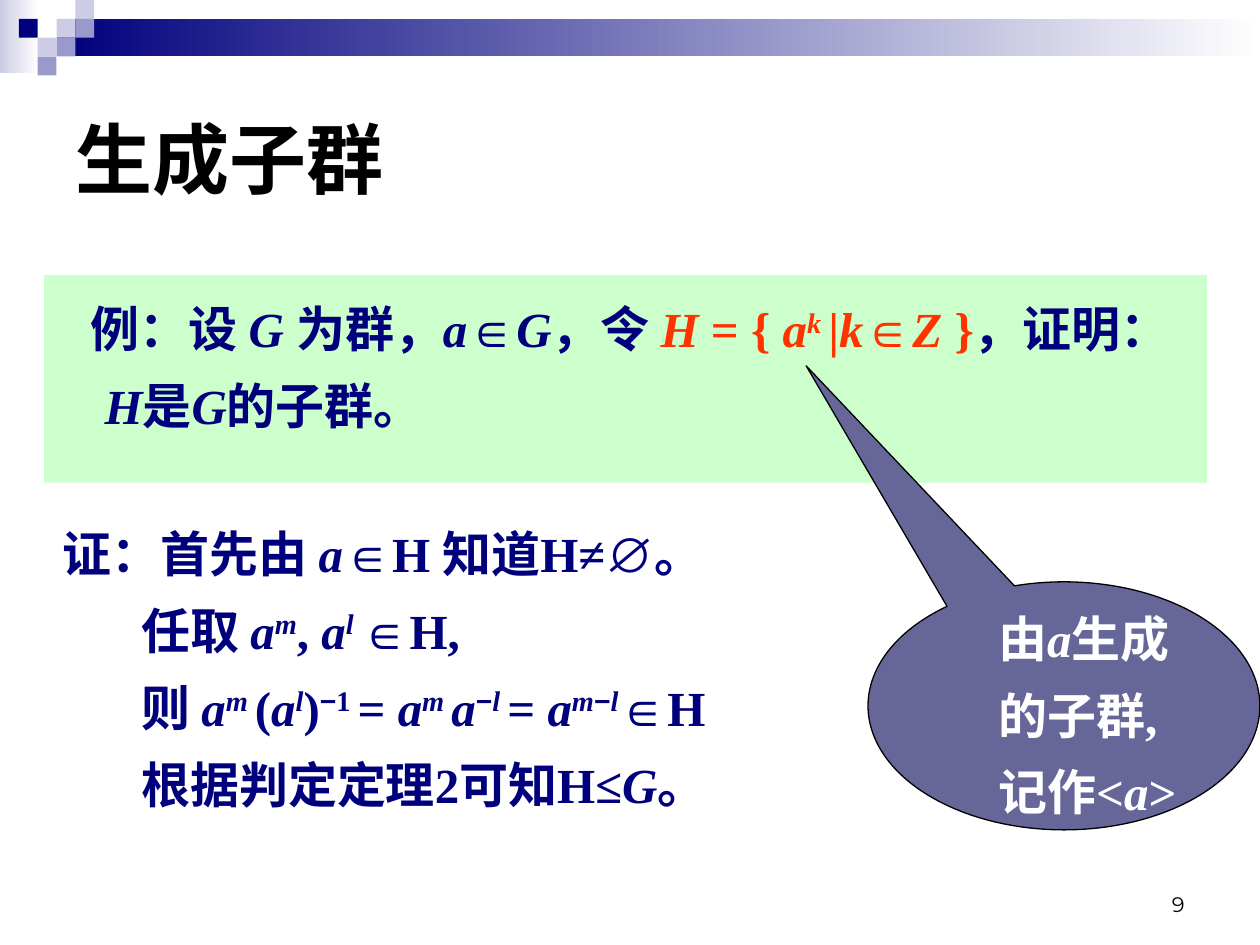
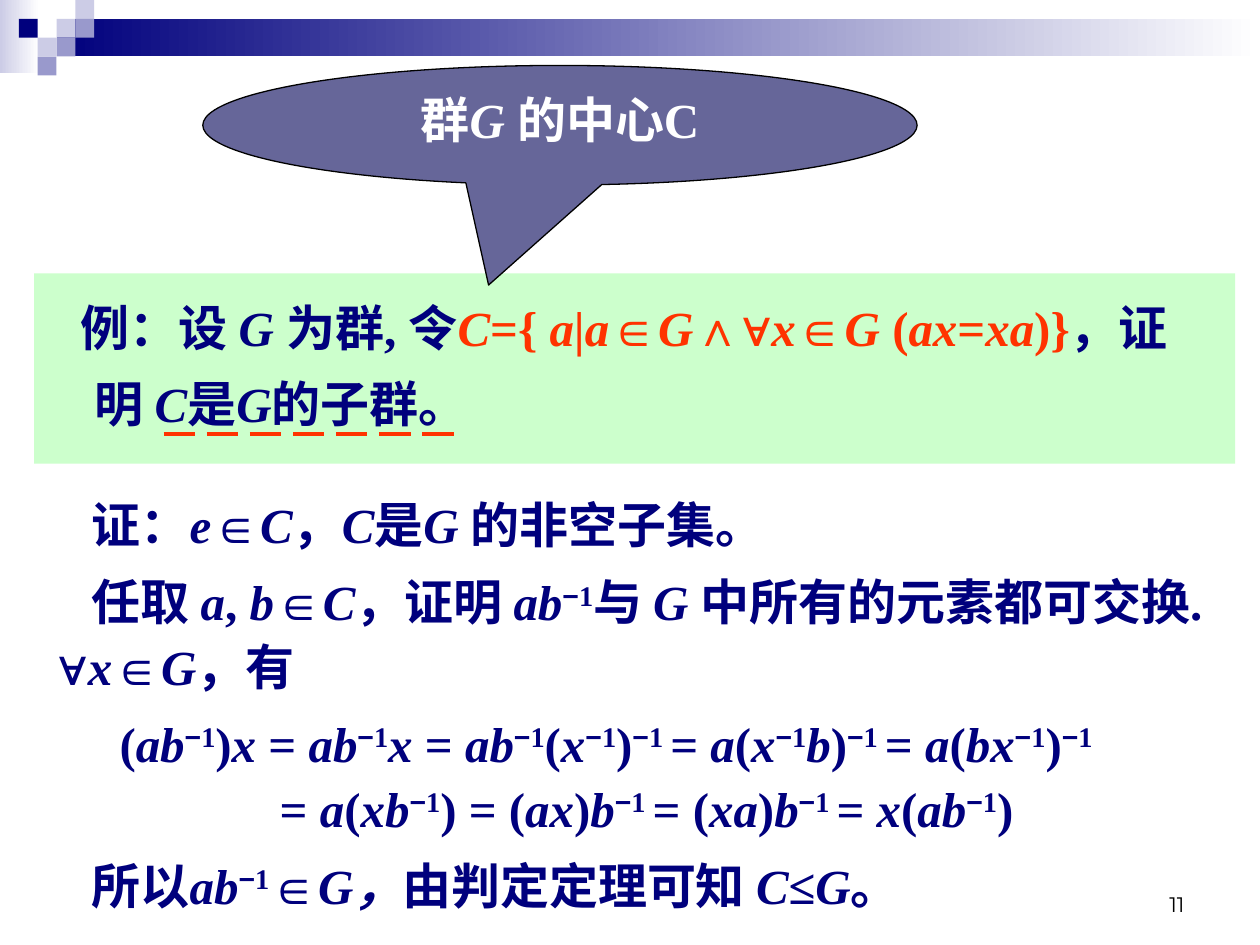
"""Build two slides on generated subgroups and the centre of a group."""
from lxml import etree
from pptx import Presentation
from pptx.dml.color import RGBColor
from pptx.enum.dml import MSO_LINE
from pptx.enum.shapes import MSO_CONNECTOR, MSO_SHAPE
from pptx.enum.text import MSO_ANCHOR, PP_ALIGN
from pptx.oxml.ns import qn
from pptx.util import Cm, Pt

RECTANGLE = MSO_SHAPE.RECTANGLE
CALLOUT = MSO_SHAPE.OVAL_CALLOUT
STRAIGHT = MSO_CONNECTOR.STRAIGHT
LONG_DASH = MSO_LINE.LONG_DASH
TOP, MIDDLE, BOTTOM = MSO_ANCHOR.TOP, MSO_ANCHOR.MIDDLE, MSO_ANCHOR.BOTTOM
LEFT, CENTER, RIGHT = PP_ALIGN.LEFT, PP_ALIGN.CENTER, PP_ALIGN.RIGHT

COLORS = {
    "navy": "00007D", "violet": "9999CC", "lavender": "CCCCE6", "white": "FFFFFF",
    "black": "000000", "mint": "CCFFCC", "slate": "666699", "red": "FF3300",
}
SERIF, SANS, NUMBER_FONT = "Times New Roman", "Arial", "Montserrat"
SANS_SYMBOLS = "−∅∀"
MARKS = {"_": "italic", "^": "raised", "~": "red"}

CELL = 0.38
BANDS = [((0, 0, 0.79, 1.47), "lavender"), ((1.14, CELL, 24.26, 0.76), "navy")]
SQUARES = [
    (3, 1, "lavender"), (4, 0, "lavender"), (4, 1, "violet"), (2, 2, "lavender"),
    (1, 1, "navy"), (3, 2, "violet"), (2, 3, "violet"),
]
TITLE_BOX = (1.27, 1.27, 22.86, 3.81)
NUMBER_BOX = (18.21, 17.35, 5.92, 1.27)
TEXT_INSETS = (0.25, 0.13, 0.25, 0.13)
EXAMPLE_INSETS = (0.25, 0.13, 0.6, 0.13)
EXAMPLE_MARGIN, EXAMPLE_INDENT = 0.97, -0.28
SPACE = 7

SLIDES = [
    {
        "title": "生成子群",
        "number": "9",
        "example_box": (0.89, 5.54, 23.44, 4.19),
        "example": "例：设 _G _为群，_a_∈_G_，令 ~_H _= { _a^k ^_|_k_∈_Z _}~，证明：_H_是_G_的子群。",
        "proof_box": (-0.1, 10.31, 23.39, 6.22),
        "proof": [
            (1.12, SPACE, "证：首先由 _a_∈H 知道H≠∅。"),
            (2.7, SPACE, "任取 _a^m^_, _a^l ^_∈H,"),
            (2.7, SPACE, "则 _a^m ^_(_a^l^_)^−1 ^= _a^m ^a_^−_l ^_= _a^m_−_l^_∈H"),
            (2.7, SPACE, "根据判定定理2可知H≤_G_。"),
        ],
        "callout_box": (17.5, 11.73, 7.9, 5),
        "pointer": (-0.658, -1.371),
        "callout": "由_a_生成的子群,记作<_a_>",
        "callout_style": {"anchor": MIDDLE, "insets": (0, 0, 0, 0),
                          "spacing": 1.3, "margin": 1.47},
    },
    {
        "number": "11",
        "example_box": (0.69, 5.51, 24.21, 3.84),
        "example": "例：设 _G _为群, 令~_C_={ _a_|_a_∈_G_∧∀_x_∈_G _(_ax_=_xa_)}~，"
                   "证明 _C_是_G_的子群。",
        "proof_box": (0.69, 9.73, 23.6, 8.81),
        "proof": [
            (0.91, SPACE, "证：_e_∈_C_，_C_是_G _的非空子集。"),
            (0.91, SPACE, "任取 _a_, _b_∈_C_，证明 _ab_^−1^与 _G _中所有的元素都可交换. "
                          "∀_x_∈_G_，有"),
            (1.47, SPACE, "(_ab_^−1^)_x _= _ab_^−1^_x _= _ab_^−1^(_x_^−1^)^−1 ^"
                          "= _a_(_x_^−1^_b_)^−1 ^= _a_(_bx_^−1^)^−1^"),
            (4.7, 0, "= _a_(_xb_^−1^) = (_ax_)_b_^−1 ^= (_xa_)_b_^−1 ^= _x_(_ab_^−1^)"),
            (0.91, SPACE, "所以_ab_^−1^∈_G，_由判定定理可知 _C_≤_G_。"),
        ],
        "underline": (3.3, 8.74, 9.3, 8.74),
        "callout_box": (4.09, 1.32, 14.4, 2.41),
        "pointer": (-0.1, 1.337),
        "callout": "群_G _的中心C",
        "callout_style": {"align": CENTER},
    },
]


def color(name):
    return RGBColor.from_string(COLORS[name])


def lengths(values):
    return [Cm(value) for value in values]


def add_runs(paragraph, markup):
    state = dict.fromkeys(MARKS.values(), False)
    pieces = []
    for character in markup:
        if character in MARKS:
            state[MARKS[character]] = not state[MARKS[character]]
            continue
        look = (*state.values(), character in SANS_SYMBOLS)
        if pieces and pieces[-1][0] == look:
            pieces[-1][1] += character
        else:
            pieces.append([look, character])
    for (italic, raised, red, sans), text in pieces:
        run = paragraph.add_run()
        run.text = text
        if italic:
            run.font.italic = True
        if raised:
            run._r.get_or_add_rPr().set("baseline", "30000")
        if red:
            run.font.color.rgb = color("red")
        if sans:
            run.font.name = SANS


def write(shape, lines, ink="navy", font=SERIF, size=28, bold=True, anchor=TOP,
          align=LEFT, spacing=1, margin=0, insets=TEXT_INSETS):
    frame = shape.text_frame
    frame.word_wrap = True
    frame.vertical_anchor = anchor
    (frame.margin_left, frame.margin_top,
     frame.margin_right, frame.margin_bottom) = lengths(insets)
    for index, (indent, space, markup) in enumerate(lines):
        paragraph = frame.add_paragraph() if index else frame.paragraphs[0]
        paragraph.alignment = align
        paragraph.line_spacing = spacing
        paragraph.space_before = Pt(space if index else 0)
        properties = paragraph._p.get_or_add_pPr()
        properties.set("marL", str(Cm(margin)))
        properties.set("indent", str(Cm(indent)))
        paragraph.font.name = font
        paragraph.font.size = Pt(size)
        paragraph.font.bold = bold
        paragraph.font.color.rgb = color(ink)
        add_runs(paragraph, markup)


def add_text(slide, box, lines, **style):
    shape = slide.shapes.add_textbox(*lengths(box))
    write(shape, lines, **style)
    return shape


def add_plain_shape(slide, kind, box):
    shape = slide.shapes.add_shape(kind, *lengths(box))
    shape.shadow.inherit = False
    shape.line.fill.background()
    return shape


def add_header(slide):
    for box, start in BANDS:
        fill = add_plain_shape(slide, RECTANGLE, box).fill
        fill.gradient()
        fill.gradient_angle = 0
        for stop, name in zip(fill.gradient_stops, (start, "white")):
            stop.color.rgb = color(name)
    for column, row, name in SQUARES:
        square = add_plain_shape(slide, RECTANGLE, (column * CELL, row * CELL, CELL, CELL))
        square.fill.solid()
        square.fill.fore_color.rgb = color(name)


def add_callout(slide, content):
    callout = add_plain_shape(slide, CALLOUT, content["callout_box"])
    for index, value in enumerate(content["pointer"]):
        callout.adjustments[index] = value
    callout.fill.solid()
    callout.fill.fore_color.rgb = color("slate")
    callout.line.color.rgb = color("black")
    callout.line.width = Pt(0.75)
    write(callout, [(0, 0, content["callout"])], ink="white", **content["callout_style"])


def add_underline(slide, ends):
    underline = slide.shapes.add_connector(STRAIGHT, *lengths(ends))
    underline.line.color.rgb = color("red")
    underline.line.width = Pt(2.25)
    underline.line.dash_style = LONG_DASH
    etree.SubElement(underline._element.spPr, qn("a:effectLst"))


def add_content(slide, content):
    add_header(slide)
    if "title" in content:
        add_text(slide, TITLE_BOX, [(0, 0, content["title"])],
                 ink="black", font=SANS, size=44, anchor=MIDDLE)
    example = add_text(slide, content["example_box"],
                       [(EXAMPLE_INDENT, 0, content["example"])],
                       spacing=1.3, margin=EXAMPLE_MARGIN, insets=EXAMPLE_INSETS)
    example.fill.solid()
    example.fill.fore_color.rgb = color("mint")
    add_text(slide, content["proof_box"], content["proof"], spacing=1.1)
    if "underline" in content:
        add_underline(slide, content["underline"])
    add_callout(slide, content)
    add_text(slide, NUMBER_BOX, [(0, 0, content["number"])], ink="black",
             font=NUMBER_FONT, size=12, bold=False, anchor=BOTTOM, align=RIGHT)


def main():
    presentation = Presentation()
    presentation.slide_width, presentation.slide_height = Cm(25.4), Cm(19.05)
    for content in SLIDES:
        add_content(presentation.slides.add_slide(presentation.slide_layouts[6]), content)
    presentation.save("out.pptx")


if __name__ == "__main__":
    main()
